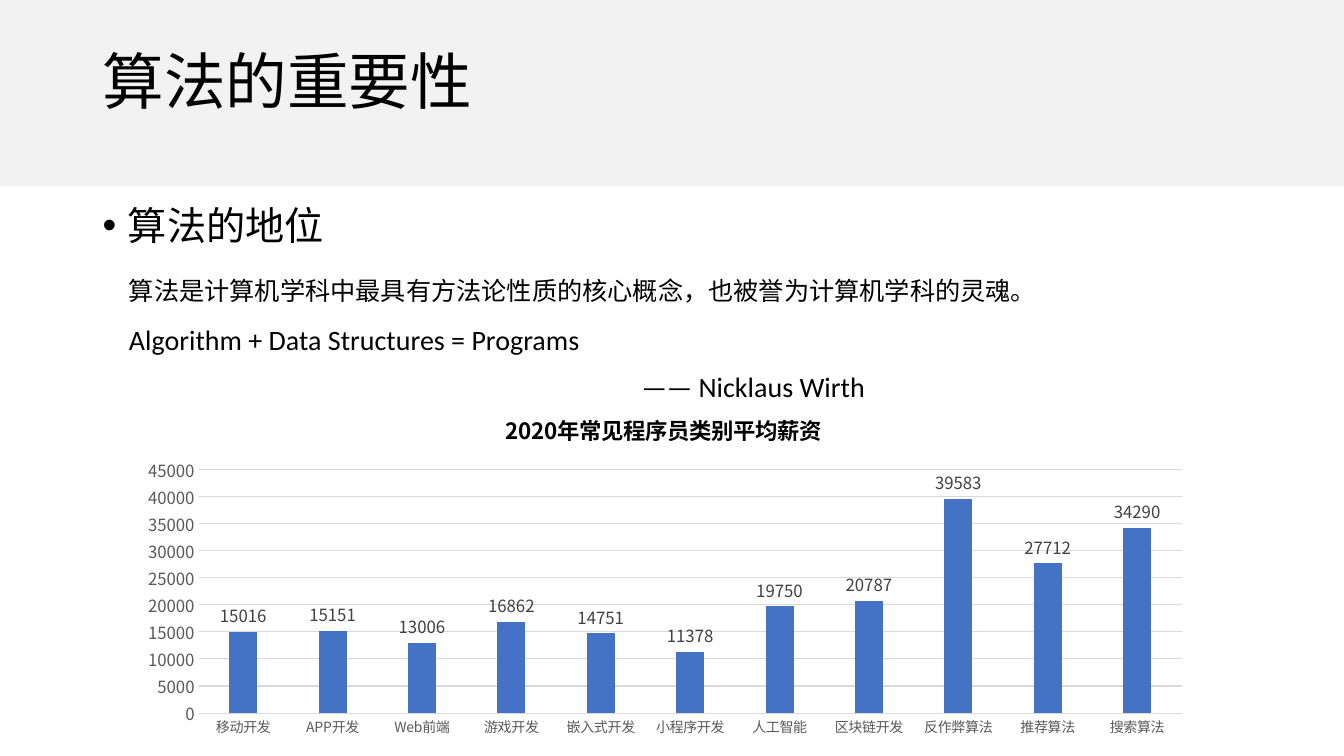
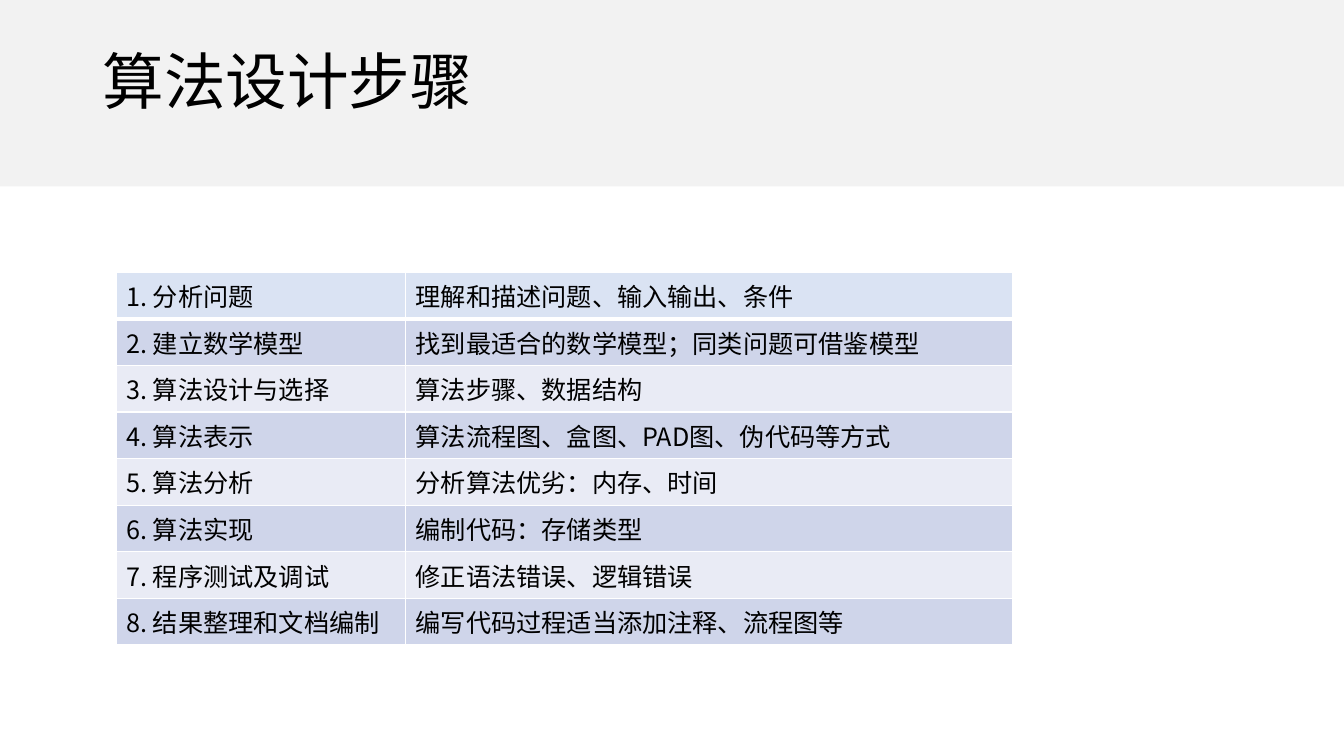
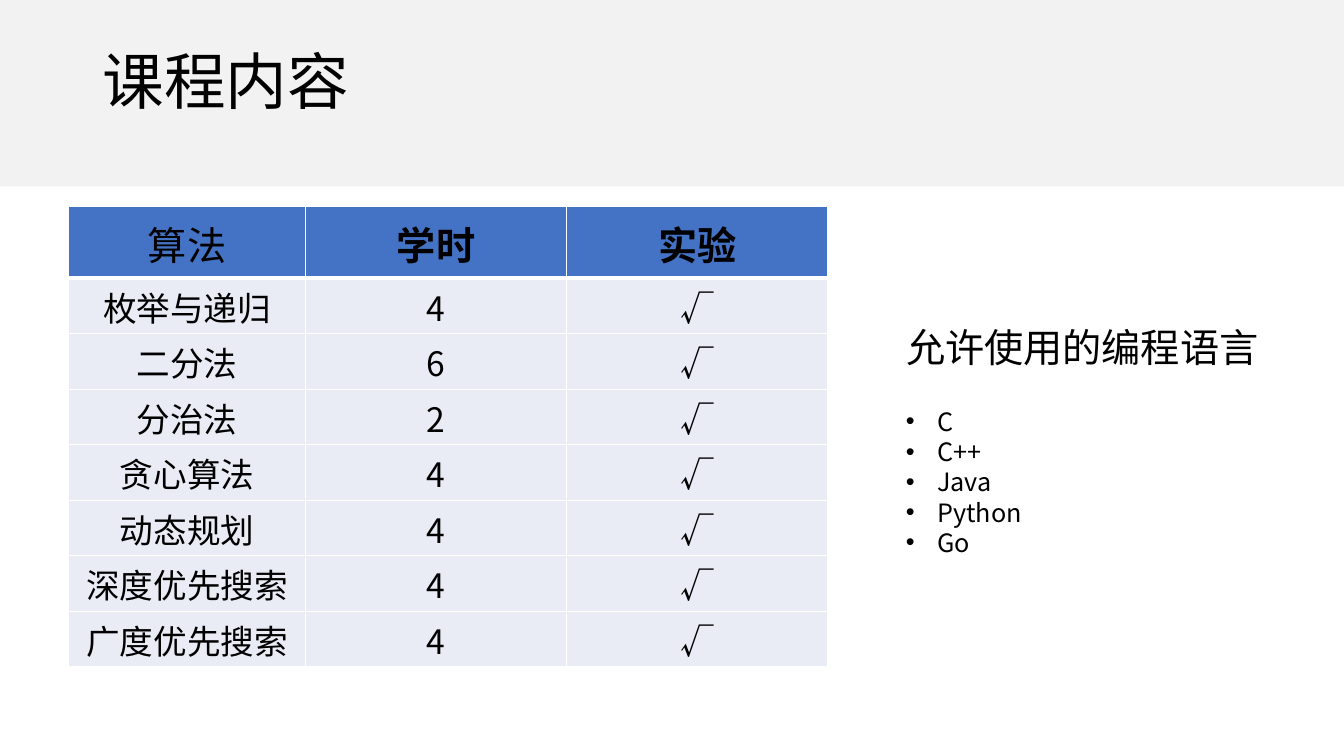
"""Build three slides about algorithms: importance, design steps and course contents."""
from lxml import etree
from pptx import Presentation
from pptx.chart.data import CategoryChartData
from pptx.dml.color import RGBColor
from pptx.enum.chart import XL_CHART_TYPE, XL_LABEL_POSITION, XL_TICK_MARK
from pptx.enum.shapes import MSO_SHAPE
from pptx.enum.text import MSO_ANCHOR, MSO_AUTO_SIZE, PP_ALIGN
from pptx.oxml.ns import qn
from pptx.util import Cm, Pt

LEFT, CENTER, RIGHT = PP_ALIGN.LEFT, PP_ALIGN.CENTER, PP_ALIGN.RIGHT
MIDDLE = MSO_ANCHOR.MIDDLE
NO_FIT = MSO_AUTO_SIZE.NONE
RECTANGLE = MSO_SHAPE.RECTANGLE
COLUMNS = XL_CHART_TYPE.COLUMN_CLUSTERED
OUTSIDE_END = XL_LABEL_POSITION.OUTSIDE_END
NO_TICK = XL_TICK_MARK.NONE

BLACK = RGBColor(0x00, 0x00, 0x00)
WHITE = RGBColor(0xFF, 0xFF, 0xFF)
BAND_GRAY = RGBColor(0xF2, 0xF2, 0xF2)
GRID_GRAY = RGBColor(0xD9, 0xD9, 0xD9)
AXIS_GRAY = RGBColor(0x59, 0x59, 0x59)
LABEL_GRAY = RGBColor(0x40, 0x40, 0x40)
BLUE = RGBColor(0x44, 0x72, 0xC4)
SKY = RGBColor(0xDA, 0xE3, 0xF3)
ROW_DARK = RGBColor(0xCF, 0xD5, 0xEA)
ROW_LIGHT = RGBColor(0xE9, 0xEB, 0xF5)

CJK = "Noto Sans CJK SC"
LATIN = "Calibri"


def style(paragraph, size, align=LEFT, bold=False, name=CJK):
    """Set the font and alignment of a whole paragraph."""
    paragraph.alignment = align
    font = paragraph.font
    font.size, font.bold, font.name = Pt(size), bold, name
    font.color.rgb = BLACK
    defaults = paragraph._p.pPr.find(qn("a:defRPr"))
    etree.SubElement(defaults, qn("a:ea"), typeface=CJK)


def bullet(paragraph, indent, char=None):
    """Give a styled paragraph a hanging bullet, or none."""
    properties = paragraph._p.pPr
    properties.set("marL", str(indent))
    properties.set("indent", str(-indent))
    defaults = properties.find(qn("a:defRPr"))
    if char:
        defaults.addprevious(etree.Element(qn("a:buFont"), typeface="Arial"))
        defaults.addprevious(etree.Element(qn("a:buChar"), char=char))
    else:
        defaults.addprevious(etree.Element(qn("a:buNone")))


prs = Presentation()
prs.slide_width, prs.slide_height = Cm(33.87), Cm(19.05)
content_layout, title_layout = prs.slide_layouts[1], prs.slide_layouts[5]

importance = prs.slides.add_slide(content_layout)
steps = prs.slides.add_slide(title_layout)
course = prs.slides.add_slide(content_layout)

band = importance.shapes.add_shape(RECTANGLE, 0, 0, prs.slide_width, Cm(4.7))
band.shadow.inherit = False
band.fill.solid()
band.fill.fore_color.rgb = BAND_GRAY
band.line.fill.background()
prs.slide_master.shapes.element.insert(2, band.element)

for slide, heading in ((importance, "算法的重要性"), (steps, "算法设计步骤"), (course, "课程内容")):
    title = slide.shapes.title
    title.left, title.top, title.width, title.height = Cm(2.33), Cm(0.3), Cm(29.21), Cm(3.68)
    title.text_frame.text = heading
    title.text_frame.auto_size = NO_FIT
    title.text_frame.vertical_anchor = MIDDLE
    line = title.text_frame.paragraphs[0]
    line.line_spacing = 0.9
    style(line, 44)

for slide, text, left, top, width, indent, char in (
    (importance, "算法的地位", 2.33, 5.08, 29.21, Cm(0.64), "•"),
    (course, "允许使用的编程语言", 22.58, 8.15, 10.06, 0, None),
):
    topic = slide.placeholders[1]
    topic.left, topic.top, topic.width, topic.height = Cm(left), Cm(top), Cm(width), Cm(1.6)
    topic.text_frame.text = text
    topic.text_frame.auto_size = NO_FIT
    line = topic.text_frame.paragraphs[0]
    line.line_spacing, line.space_before = 0.9, Pt(10)
    style(line, 28)
    bullet(line, indent, char)

status = importance.shapes.add_textbox(Cm(3), Cm(6.81), Cm(28.52), Cm(1.02)).text_frame
status.word_wrap = True
status.text = "算法是计算机学科中最具有方法论性质的核心概念，也被誉为计算机学科的灵魂。"
style(status.paragraphs[0], 18)

quote = importance.shapes.add_textbox(Cm(3), Cm(8.1), Cm(19.05), Cm(2.62)).text_frame
quote.word_wrap = True
quote.text = "Algorithm + Data Structures = Programs\n—— Nicklaus Wirth"
for line, align in zip(quote.paragraphs, (LEFT, RIGHT)):
    line.line_spacing, line.space_before, line.space_after = 0.9, Pt(6), Pt(6)
    style(line, 20, align, name=LATIN)

SALARIES = {
    "移动开发": 15016,
    "APP开发": 15151,
    "Web前端": 13006,
    "游戏开发": 16862,
    "嵌入式开发": 14751,
    "小程序开发": 11378,
    "人工智能": 19750,
    "区块链开发": 20787,
    "反作弊算法": 39583,
    "推荐算法": 27712,
    "搜索算法": 34290,
}
salary_data = CategoryChartData()
salary_data.categories = list(SALARIES)
salary_data.add_series("Series 1", list(SALARIES.values()))
salaries = importance.shapes.add_chart(
    COLUMNS, Cm(3.1), Cm(10), Cm(27.23), Cm(8.76), salary_data
).chart
salaries.has_legend = False
salaries.font.size, salaries.font.name = Pt(10), CJK
salaries.font.color.rgb = BLACK
salaries.has_title = True
caption = salaries.chart_title.text_frame
caption.text = "2020年常见程序员类别平均薪资"
style(caption.paragraphs[0], 16, CENTER, bold=True)

bars = salaries.plots[0]
bars.gap_width, bars.overlap, bars.vary_by_categories = 219, -27, False
bars.series[0].format.fill.solid()
bars.series[0].format.fill.fore_color.rgb = BLUE
bars.has_data_labels = True
bars.data_labels.show_value = True
bars.data_labels.position = OUTSIDE_END

jobs, amounts = salaries.category_axis, salaries.value_axis
for axis in (jobs, amounts):
    axis.major_tick_mark = axis.minor_tick_mark = NO_TICK
amounts.maximum_scale, amounts.minimum_scale, amounts.major_unit = 45000, 0, 5000
amounts.has_major_gridlines = True
amounts.format.line.fill.background()
for stroke in (jobs.format.line, amounts.major_gridlines.format.line):
    stroke.color.rgb, stroke.width = GRID_GRAY, Pt(0.75)
for font, size, color in (
    (jobs.tick_labels.font, 10, AXIS_GRAY),
    (amounts.tick_labels.font, 12, AXIS_GRAY),
    (bars.data_labels.font, 12, LABEL_GRAY),
):
    font.size, font.name = Pt(size), CJK
    font.color.rgb = color

EDGES = {"xMode": "edge", "yMode": "edge"}
for tag, position, frame in (
    ("c:title", 1, {**EDGES, "x": 0.35, "y": 0.03}),
    ("c:plotArea", 0, {"layoutTarget": "inner", **EDGES, "x": 0.07, "y": 0.21, "w": 0.91, "h": 0.7}),
):
    area = next(salaries.element.iter(qn(tag)))
    layout = area.find(qn("c:layout"))
    if layout is None:
        layout = etree.Element(qn("c:layout"))
        area.insert(position, layout)
    manual = etree.SubElement(layout, qn("c:manualLayout"))
    for key, value in frame.items():
        etree.SubElement(manual, qn("c:" + key), val=str(value))

STEPS = [
    ("分析问题", "理解和描述问题、输入输出、条件"),
    ("建立数学模型", "找到最适合的数学模型；同类问题可借鉴模型"),
    ("算法设计与选择", "算法步骤、数据结构"),
    ("算法表示", "算法流程图、盒图、PAD图、伪代码等方式"),
    ("算法分析", "分析算法优劣：内存、时间"),
    ("算法实现", "编制代码：存储类型"),
    ("程序测试及调试", "修正语法错误、逻辑错误"),
    ("结果整理和文档编制", "编写代码过程适当添加注释、流程图等"),
]
step_table = steps.shapes.add_table(
    len(STEPS), 2, Cm(2.93), Cm(6.86), Cm(22.58), Cm(1.04) * len(STEPS)
).table
step_table.columns[0].width, step_table.columns[1].width = Cm(7.29), Cm(15.29)
for row, (step, detail) in enumerate(STEPS):
    color = SKY if row == 0 else (ROW_LIGHT, ROW_DARK)[row % 2]
    for column, text in enumerate((f"{row + 1}. {step}", detail)):
        cell = step_table.cell(row, column)
        cell.text = text
        cell.fill.solid()
        cell.fill.fore_color.rgb = color
        style(cell.text_frame.paragraphs[0], 18)

HOURS = {
    "枚举与递归": 4,
    "二分法": 6,
    "分治法": 2,
    "贪心算法": 4,
    "动态规划": 4,
    "深度优先搜索": 4,
    "广度优先搜索": 4,
}
lessons = [("算法", "学时", "实验")] + [(name, str(hours), "√") for name, hours in HOURS.items()]
lesson_table = course.shapes.add_table(
    len(lessons), 3, Cm(1.73), Cm(5.21), Cm(19.13), Cm(11.6)
).table
for column, width in enumerate((5.97, 6.58, 6.58)):
    lesson_table.columns[column].width = Cm(width)
for row, texts in enumerate(lessons):
    header = row == 0
    lesson_table.rows[row].height = Cm(1.8 if header else 1.4)
    for column, text in enumerate(texts):
        cell = lesson_table.cell(row, column)
        cell.text = text
        cell.vertical_anchor = MIDDLE
        cell.margin_left = cell.margin_right = cell.margin_top = Cm(0.03)
        cell.margin_bottom = 0
        cell.fill.solid()
        cell.fill.fore_color.rgb = BLUE if header else ROW_LIGHT
        style(cell.text_frame.paragraphs[0], 28 if header else 24, CENTER, header and column > 0)

for table in (step_table, lesson_table):
    for cell in table.rows[0].cells:
        border = etree.Element(qn("a:lnB"), w=str(Pt(3)))
        paint = etree.SubElement(border, qn("a:solidFill"))
        etree.SubElement(paint, qn("a:srgbClr"), val=str(WHITE))
        cell._tc.tcPr.insert(0, border)

languages = course.shapes.add_textbox(Cm(22.58), Cm(10.11), Cm(10.06), Cm(4.11)).text_frame
languages.word_wrap = True
languages.text = "C\nC++\nJava\nPython\nGo"
for line in languages.paragraphs:
    style(line, 18)
    bullet(line, Cm(0.79), "•")

prs.save("out.pptx")
